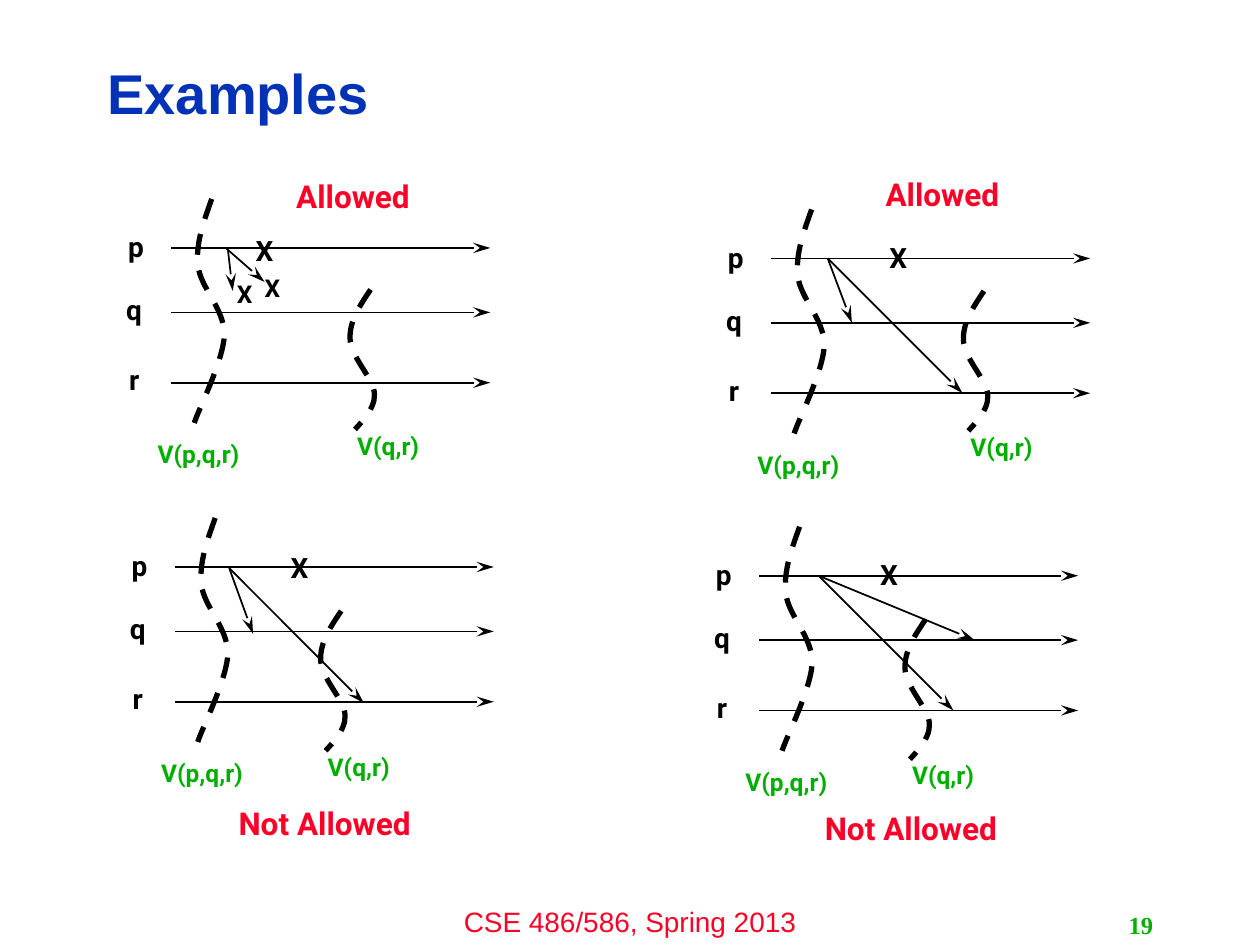
from lxml import etree
from pptx import Presentation
from pptx.dml.color import RGBColor
from pptx.enum.dml import MSO_LINE
from pptx.enum.shapes import MSO_CONNECTOR
from pptx.enum.text import MSO_ANCHOR, PP_ALIGN
from pptx.oxml.ns import qn
from pptx.util import Pt

STRAIGHT = MSO_CONNECTOR.STRAIGHT
DASH = MSO_LINE.DASH
TOP, MIDDLE = MSO_ANCHOR.TOP, MSO_ANCHOR.MIDDLE
LEFT, CENTER, RIGHT = PP_ALIGN.LEFT, PP_ALIGN.CENTER, PP_ALIGN.RIGHT

COLORS = {"black": "000000", "blue": "0332B7", "red": "FC0128", "green": "00AE00"}

SPAN = 182.2
# Process name, height of its time line, place of its label
ROWS = [("p", 0, (-38, -14)), ("q", 36.8, (-39, 22)), ("r", 77, (-39, 62))]

# Bezier points of the two view cuts: a start, then three points per segment
WIDE = [(23, -28), (18.7, -15.8), (13.7, -2.9), (15.1, 10.1),
        (16.6, 23), (30.2, 34.6), (30.2, 49.7),
        (29.5, 64.8), (15.8, 91.4), (13, 100)]
NARROW = [(0, 0), (-6, 9), (-12.2, 18), (-11.7, 28.1),
          (-11.7, 38.2), (2.2, 51.2), (2.2, 59.8),
          (2.7, 68.4), (-6.5, 77), (-8.9, 79.9)]

# All places in a panel are offsets from the start of its first time line
PANELS = [
    {"at": (98, 141.7), "cut": (113.8, 23.8),
     "verdict": ("Allowed", 38.2, -43.9),
     "marks": [(41, -11.9, 16), (46.1, 10.9, 14), (30.2, 14, 14)],
     "sends": [(32.2, 0.7, 35, 24.5), (31, 0, 53.2, 19.4)]},
    {"at": (440.8, 147.7), "cut": (121.5, 18.6),
     "verdict": ("Allowed", 32.2, -51.1),
     "marks": [(60.3, -13.7, 16)],
     "sends": [(32.2, 0, 46, 36.8), (32.2, 0, 109.2, 77)]},
    {"at": (100, 324), "cut": (95, 25.1),
     "verdict": ("Not Allowed", 20, 131.8),
     "marks": [(59, -13, 16)],
     "sends": [(31, 0.7, 44.6, 38.2), (31, 0.7, 108, 77.8)]},
    {"at": (433.9, 329), "cut": (95, 25),
     "verdict": ("Not Allowed", 21.1, 130),
     "marks": [(61.9, -13.7, 16)],
     "sends": [(33.9, 0, 123.1, 36.8), (33.9, 0, 110.9, 77)]},
]


class Board:
    """Holds the text style and the slide being drawn."""

    def __init__(self, slide, font):
        self.slide = slide
        self.font = font

    def text(self, words, x, y, w, h, size, color="black", bold=True,
             font=None, align=CENTER, anchor=TOP, lead=None):
        box = self.slide.shapes.add_textbox(Pt(x), Pt(y), Pt(w), Pt(h))
        frame = box.text_frame
        frame.word_wrap = True
        frame.vertical_anchor = anchor
        para = frame.paragraphs[0]
        para.text = words
        para.alignment = align
        if lead:
            para.line_spacing = lead
        para.font.name = font or self.font
        para.font.size = Pt(size)
        para.font.bold = bold
        para.font.color.rgb = RGBColor.from_string(COLORS[color])

    def stroke(self, line, width):
        line.width = Pt(width)
        line.color.rgb = RGBColor.from_string(COLORS["black"])

    def arrow(self, x1, y1, x2, y2):
        link = self.slide.shapes.add_connector(STRAIGHT, Pt(x1), Pt(y1), Pt(x2), Pt(y2))
        self.stroke(link.line, 1)
        props = link._element.spPr
        etree.SubElement(props.find(qn("a:ln")), qn("a:tailEnd"),
                         type="stealth", w="med", len="lg")
        etree.SubElement(props, qn("a:effectLst"))

    def curve(self, knots, x, y):
        """Draw a dashed chain of cubic Bezier segments."""
        dots = [(Pt(x + dx), Pt(y + dy)) for dx, dy in knots]
        pen = self.slide.shapes.build_freeform(*dots[0])
        pen.add_line_segments(dots[1:], close=False)
        shape = pen.convert_to_shape()
        steps = list(shape._element.iter(qn("a:lnTo")))
        for i in range(0, len(steps), 3):
            bend = etree.Element(qn("a:cubicBezTo"))
            steps[i].addprevious(bend)
            for step in steps[i:i + 3]:
                bend.append(step[0])
                step.getparent().remove(step)
        shape.shadow.inherit = False
        shape.fill.background()
        self.stroke(shape.line, 3)
        shape.line.dash_style = DASH

    def panel(self, at, cut, verdict, marks, sends):
        x, y = at
        for name, drop, (dx, dy) in ROWS:
            self.arrow(x, y + drop, x + SPAN, y + drop)
            self.text(name, x + dx, y + dy, 35.3, 24.5, 16)
        self.curve(WIDE, x, y)
        self.text("V(p,q,r)", x - 20.2, y + 105.8, 71.3, 22.3, 14, "green")
        left, top = x + cut[0], y + cut[1]
        self.curve(NARROW, left, top)
        self.text("V(q,r)", left - 23.8, top + 77, 67.7, 22.3, 14, "green")
        for x1, y1, x2, y2 in sends:
            self.arrow(x + x1, y + y1, x + x2, y + y2)
        for dx, dy, size in marks:
            self.text("X", x + dx, y + dy, 22.3, 24.5, size)
        words, dx, dy = verdict
        self.text(words, x + dx, y + dy, 131, 26.6, 18, "red")


def main():
    deck = Presentation()
    deck.slide_width, deck.slide_height = Pt(720), Pt(540)
    board = Board(deck.slides.add_slide(deck.slide_layouts[6]), "Roboto")
    board.text("CSE 486/586, Spring 2013", 240, 513.4, 240, 26.6, 16, "red",
               bold=False, font="Arial")
    board.text("Examples", 54.3, 26, 574.6, 58.3, 32, "blue",
               font="Arial", align=LEFT, anchor=MIDDLE, lead=0.9)
    board.text("19", 516, 517, 150, 23, 14, "green",
               font="Times New Roman", align=RIGHT, anchor=MIDDLE)
    for panel in PANELS:
        board.panel(**panel)
    deck.save("out.pptx")


if __name__ == "__main__":
    main()
